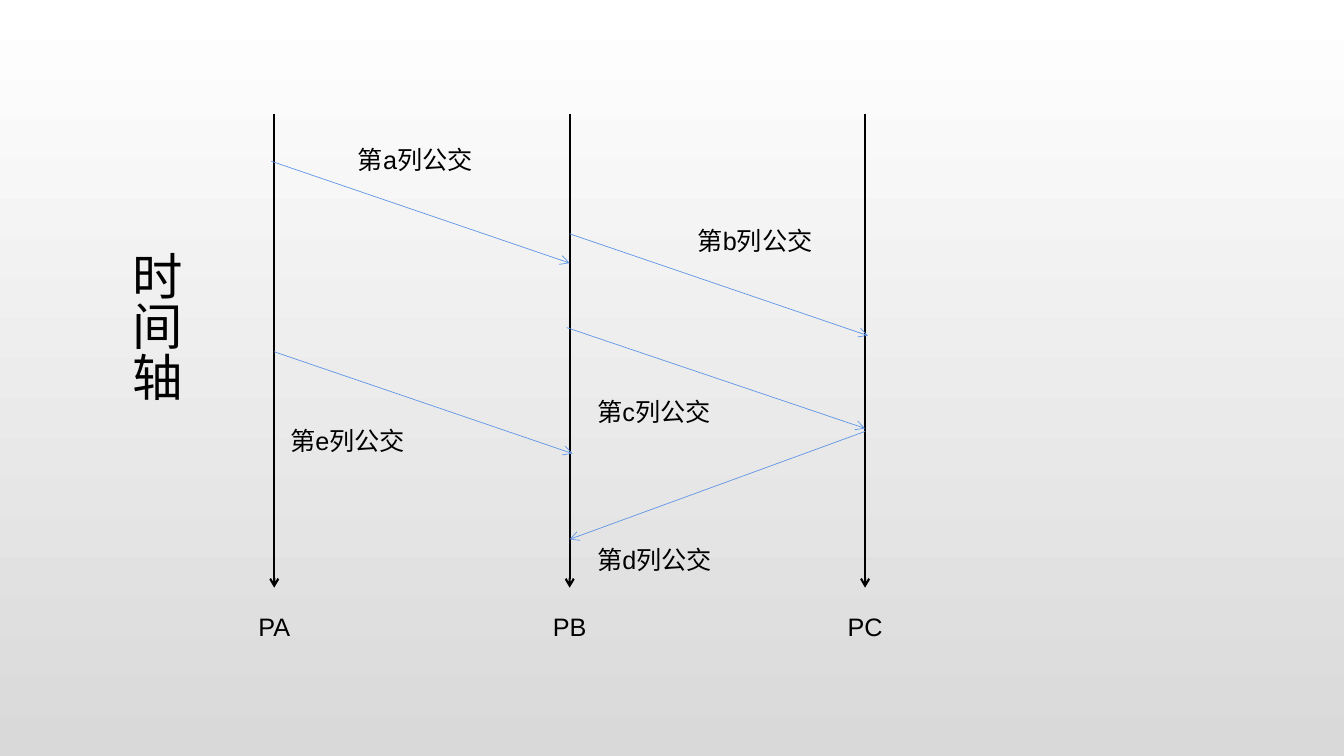
from lxml import etree
from pptx import Presentation
from pptx.dml.color import RGBColor
from pptx.enum.shapes import MSO_CONNECTOR
from pptx.enum.text import MSO_AUTO_SIZE, PP_ALIGN
from pptx.oxml.ns import qn
from pptx.util import Inches, Pt

LINE = MSO_CONNECTOR.STRAIGHT
GROW = MSO_AUTO_SIZE.SHAPE_TO_FIT_TEXT
FIXED = MSO_AUTO_SIZE.NONE
LEFT, MID = PP_ALIGN.LEFT, PP_ALIGN.CENTER
COLORS = {"ink": "000000", "trip": "6096E6", "top": "FFFFFF", "base": "D9D9D9"}


class Board:
    font = "Arial"
    left, top = 2.72, 1.13
    col, row = 2.93, 0.1

    def __init__(self, slide):
        self.slide = slide

    def color(self, name):
        return RGBColor.from_string(COLORS[name])

    def place(self, col, row):
        return Inches(self.left + col * self.col), Inches(self.top + row * self.row)

    def size(self, cols, rows):
        return Inches(cols * self.col), Inches(rows * self.row)

    def back(self, *names):
        fill = self.slide.background.fill
        fill.gradient()
        fill.gradient_angle = 270
        for stop, name in zip(fill.gradient_stops, names):
            stop.color.rgb = self.color(name)

    def arrow(self, start, end, color, width):
        link = self.slide.shapes.add_connector(LINE, *self.place(*start), *self.place(*end))
        link.line.color.rgb = self.color(color)
        link.line.width = Pt(width)
        stroke = link.line._get_or_add_ln()
        etree.SubElement(stroke, qn("a:tailEnd"), type="arrow")
        etree.SubElement(link._element.spPr, qn("a:effectLst"))

    def label(self, text, spot, cols, rows=4, size=18, align=LEFT, upright=False):
        box = self.slide.shapes.add_textbox(*self.place(*spot), *self.size(cols, rows))
        frame = box.text_frame
        frame.word_wrap = True
        frame.auto_size = FIXED if upright else GROW
        if upright:
            frame._txBody.bodyPr.set("vert", "eaVert")
        para = frame.paragraphs[0]
        para.alignment = align
        run = para.add_run()
        run.text = text
        run.font.name = self.font
        run.font.size = Pt(size)
        run.font.color.rgb = self.color("ink")


STOPS = ["PA", "PB", "PC"]
TRIPS = [
    ("a", (-0.01, 4.7), (1, 14.8), (0.25, 2.5)),
    ("b", (1, 11.9), (2.01, 22), (1.4, 10.6)),
    ("c", (0.99, 21.2), (2, 31.2), (1.06, 27.5)),
    ("d", (2, 31.5), (1, 42.2), (1.06, 42.2)),
    ("e", (0, 23.6), (1.01, 33.7), (0.02, 30.4)),
]

deck = Presentation()
deck.slide_width, deck.slide_height = Inches(13.33), Inches(7.5)
board = Board(deck.slides.add_slide(deck.slide_layouts[6]))
board.back("top", "base")

for col, stop in enumerate(STOPS):
    board.arrow((col, 0), (col, 47), "ink", 1.5)
    board.label(stop, (col - 0.28, 48.9), 0.56, align=MID)

board.label("时间轴", (-0.55, 12.6), 0.27, 20.2, 36, MID, True)

for name, start, end, spot in TRIPS:
    board.arrow(start, end, "trip", 0.5)
    board.label(f"第{name}列公交", spot, 0.58)

deck.save("out.pptx")
